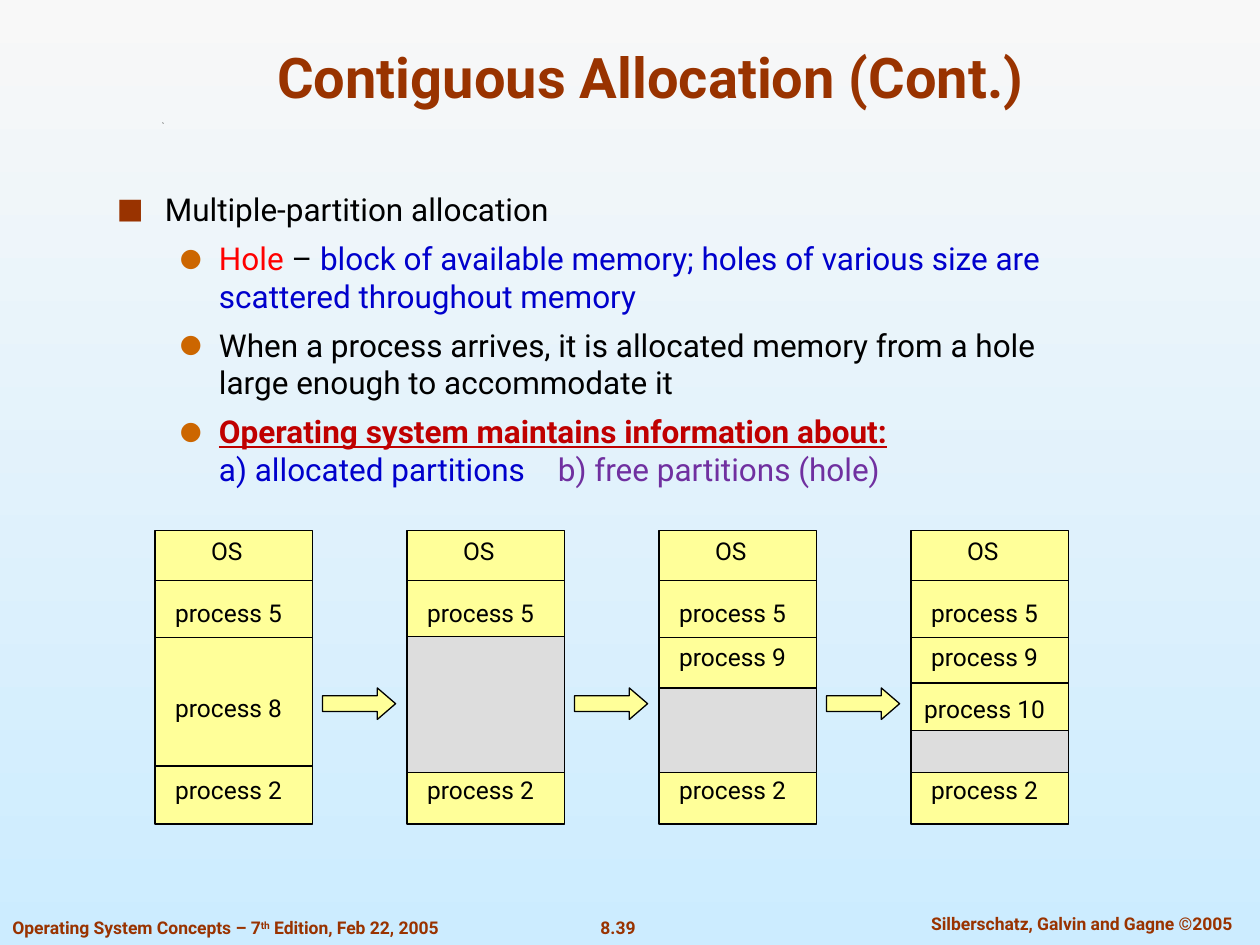
import pptx
import pptx.util
import pptx.dml.color
import pptx.enum.text
import pptx.enum.shapes
import lxml.etree

INK = {"brown": "993300", "black": "000000", "red": "FF0000", "blue": "0000CC",
       "dark": "C00000", "plum": "7030A0", "dot": "CC6600", "cream": "FFFF99",
       "gray": "DDDDDD", "top": "F8F8F8", "base": "CCECFF"}
FONT = "Roboto"
WIDE, HIGH = 10, 7.5

TITLE = "Contiguous Allocation (Cont.)"
BODY = [
    (0, [("Multiple-partition allocation", "black")]),
    (1, [("Hole", "red"), (" – ", "black"),
         ("block of available memory; holes of various size are scattered throughout memory", "blue")]),
    (1, [("When a process arrives, it is allocated memory from a hole large enough to accommodate it", "black")]),
    (1, [("Operating system maintains information about:", "dark", "bold", "under"), "break",
         ("a) allocated partitions\t", "blue"), ("b) free partitions (hole)", "plum")]),
]
MARKS = [("■", "brown", 90, 0.38, 0.38), ("●", "dot", 80, 0.81, 0.31)]
FOOT = [
    ((4.64, 7.23, 0.53, 0.27), "center", [("8.39", "brown")]),
    ((7.1, 7.2, 2.97, 0.27), "center", [("Silberschatz, Galvin and Gagne ©2005", "brown")]),
    ((0, 7.23, 4.21, 0.27), "left", [("Operating System Concepts – 7", "brown"), ("th", "brown", "super"),
                                     (" Edition, Feb 22, 2005", "brown")]),
]

LEFT, TOP, STEP, COL, TALL = 1.23, 4.21, 2, 1.25, 2.33
RULES = [4.61, 5.06, 6.08]
SHARED = [("process 5", 4.7), ("process 2", 6.1)]
STAGES = [
    {"tags": [("process 8", 5.45)]},
    {"hole": 5.05},
    {"hole": 5.46, "tags": [("process 9", 5.05)]},
    {"hole": 5.8, "tags": [("process 9", 5.05), ("process 10", 5.46)], "rule": 5.42},
]
FLOOR = 6.13

inch = pptx.util.Inches
point = pptx.util.Pt
kinds = pptx.enum.shapes.MSO_SHAPE
ALIGN = {"left": pptx.enum.text.PP_ALIGN.LEFT, "center": pptx.enum.text.PP_ALIGN.CENTER}
HOLD = {"top": pptx.enum.text.MSO_ANCHOR.TOP, "middle": pptx.enum.text.MSO_ANCHOR.MIDDLE,
        "bottom": pptx.enum.text.MSO_ANCHOR.BOTTOM}


def tint(name):
    return pptx.dml.color.RGBColor.from_string(INK[name])


def child(node, tag, **attrs):
    item = lxml.etree.SubElement(node, pptx.oxml.ns.qn("a:" + tag))
    for key, value in attrs.items():
        item.set(key, str(value))
    return item


def mark(para, level):
    sign, color, share, left, hang = MARKS[level]
    props = para._p.get_or_add_pPr()
    props.set("marL", str(inch(left)))
    props.set("indent", str(-inch(hang)))
    child(child(props, "buClr"), "srgbClr", val=INK[color])
    child(props, "buSzPct", val=share * 1000)
    child(props, "buFont", typeface=FONT)
    child(props, "buChar", char=sign)
    if level:
        child(child(props, "tabLst"), "tab", pos=inch(3.5), algn="l")
        para.level = level


def text(box, paras, size=14, bold=False, align="center", anchor="middle", bullet=False, gap=0):
    frame = slide.shapes.add_textbox(*map(inch, box)).text_frame
    frame.word_wrap = True
    frame.vertical_anchor = HOLD[anchor]
    for spot, (level, runs) in enumerate(paras):
        para = frame.add_paragraph() if spot else frame.paragraphs[0]
        if bullet:
            mark(para, level)
        para.alignment = ALIGN[align]
        if spot:
            para.space_before = point(gap)
        for part in runs:
            if part == "break":
                para.add_line_break()
                continue
            words, color, *flags = part
            run = para.add_run()
            run.text = words
            font = run.font
            font.name, font.size = FONT, point(size)
            font.bold = bold or "bold" in flags
            font.underline = "under" in flags
            font.color.rgb = tint(color)
            if "super" in flags:
                run._r.get_or_add_rPr().set("baseline", "30000")


def form(kind, box, color):
    item = slide.shapes.add_shape(kind, *map(inch, box))
    item.shadow.inherit = False
    item.fill.solid()
    item.fill.fore_color.rgb = tint(color)
    item.line.color.rgb = tint("black")
    item.line.width = point(0.75)
    return item


def rule(left, top):
    line = slide.shapes.add_connector(pptx.enum.shapes.MSO_CONNECTOR.STRAIGHT,
                                      *map(inch, (left, top, left + COL, top)))
    line.line.color.rgb = tint("black")
    line.line.width = point(0.75)
    child(line._element.spPr, "effectLst")


def stage(left, hole=None, tags=(), rule_at=None):
    form(kinds.RECTANGLE, (left, TOP, COL, TALL), "cream")
    for top in RULES:
        rule(left, top)
    if hole:
        form(kinds.RECTANGLE, (left, hole, COL, FLOOR - hole), "gray")
    if rule_at:
        rule(left, rule_at)
    text((left + 0.33, TOP, 0.48, 0.33), [(0, [("OS", "black")])])
    for words, top in [*SHARED, *tags]:
        text((left, top, 1.17, 0.33), [(0, [(words, "black")])])


deck = pptx.Presentation()
deck.slide_width, deck.slide_height = inch(WIDE), inch(HIGH)
slide = deck.slides.add_slide(deck.slide_layouts[6])
back = slide.background.fill
back.gradient()
back.gradient_angle = 270
for stop, name in zip(back.gradient_stops, ("top", "base")):
    stop.color.rgb = tint(name)

for box, align, runs in FOOT:
    text(box, [(0, runs)], size=10, bold=True, align=align, anchor="top")

pen = slide.shapes.build_freeform(inch(1.29), inch(0.98))
pen.add_line_segments([(inch(1.29), inch(0.97)), (inch(1.3), inch(0.98))])
speck = pen.convert_to_shape()
speck.shadow.inherit = False
speck.fill.solid()
speck.fill.fore_color.rgb = tint("black")
speck.line.fill.background()

text((0.75, 0.25, 8.83, 0.67), [(0, [(TITLE, "brown")])], size=32, bold=True, anchor="bottom")
text((0.83, 1.46, 8.04, 2.67), BODY, size=18, align="left", anchor="top", bullet=True, gap=6.3)

for spot, plan in enumerate(STAGES):
    left = LEFT + spot * STEP
    stage(left, plan.get("hole"), plan.get("tags", ()), plan.get("rule"))
    if spot:
        arrow = form(kinds.RIGHT_ARROW, (left - 0.67, 5.46, 0.58, 0.25), "cream")
        arrow.adjustments[0], arrow.adjustments[1] = 0.5, 0.58

deck.save("out.pptx")
